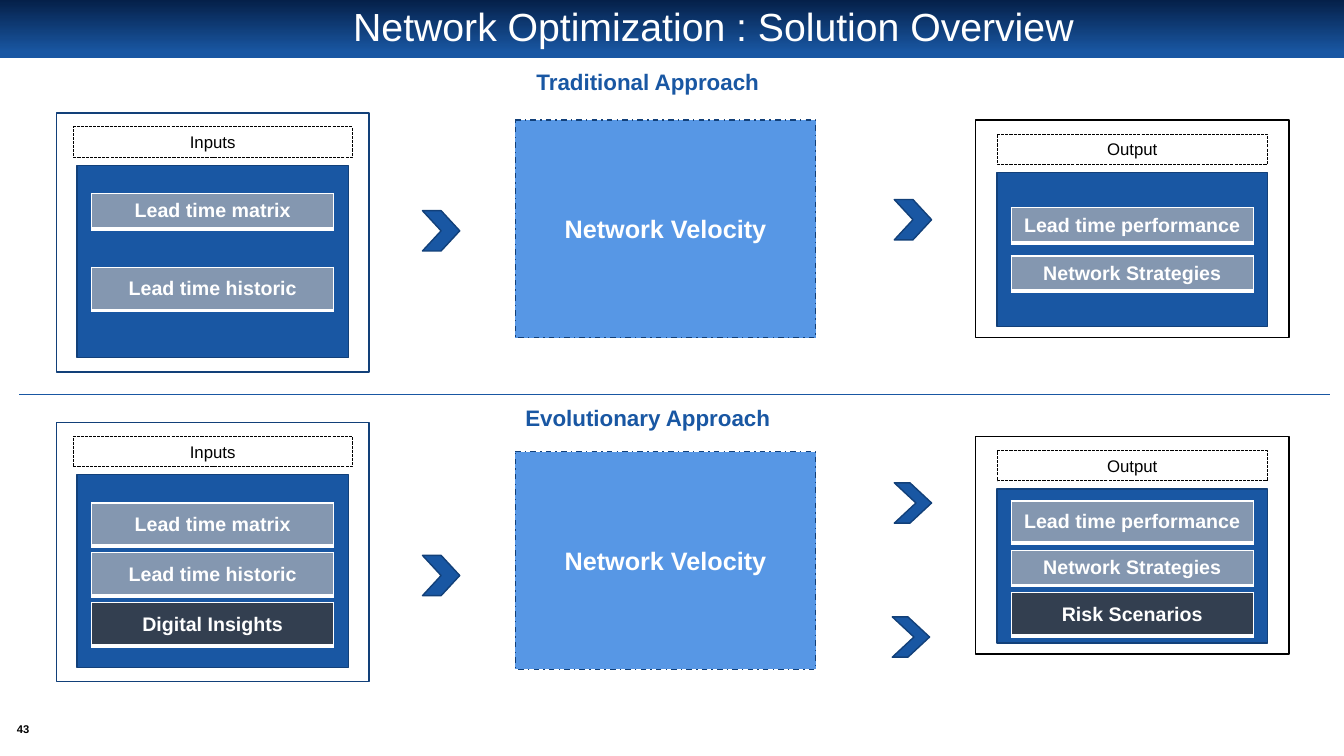
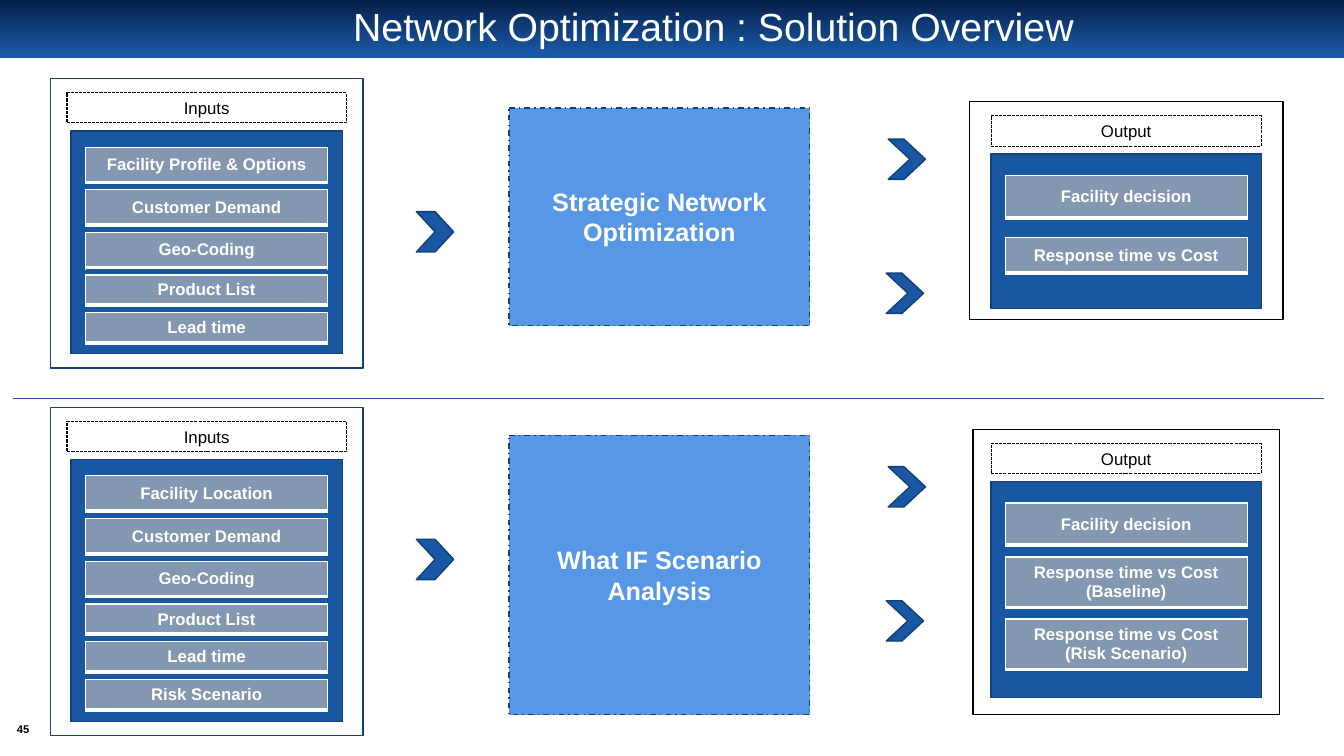
import lxml.etree
import pptx
import pptx.dml.color
import pptx.enum.dml
import pptx.enum.shapes
import pptx.enum.text
import pptx.oxml.ns
import pptx.util

Inches = pptx.util.Inches
Pt = pptx.util.Pt
RGB = pptx.dml.color.RGBColor
Dash = pptx.enum.dml.MSO_LINE
Form = pptx.enum.shapes.MSO_SHAPE
Anchor = pptx.enum.text.MSO_ANCHOR
qn = pptx.oxml.ns.qn

NAVY = RGB(0x05, 0x20, 0x49)
BLUE = RGB(0x19, 0x57, 0xA3)
EDGE = RGB(0x12, 0x40, 0x79)
SKY = RGB(0x57, 0x97, 0xE5)
SLATE = RGB(0x84, 0x97, 0xB0)
DARK = RGB(0x33, 0x3F, 0x50)
WHITE = RGB(0xFF, 0xFF, 0xFF)
BLACK = RGB(0, 0, 0)

FONT = "Arial"
TITLE = "Network Optimization : Solution Overview"
WIDTH = 13.33
BAR_W = 2.4
IN_MID, CORE_MID, OUT_MID = 2.11, 6.6, 11.23


def write(frame, text, size, color, bold=False, anchor=Anchor.MIDDLE):
    frame.word_wrap = True
    frame.vertical_anchor = anchor
    para = frame.paragraphs[0]
    para.alignment = pptx.enum.text.PP_ALIGN.CENTER
    run = para.add_run()
    run.text = text
    run.font.name = FONT
    run.font.size = Pt(size)
    run.font.bold = bold
    run.font.color.rgb = color


def label(slide, box, text, size, color):
    frame = slide.shapes.add_textbox(*map(Inches, box)).text_frame
    write(frame, text, size, color, True, Anchor.TOP)
    return frame


def block(slide, form, box, fill, line, weight=1, dash=None):
    shape = slide.shapes.add_shape(form, *map(Inches, box))
    shape.shadow.inherit = False
    if fill is None:
        shape.fill.background()
    else:
        shape.fill.solid()
        shape.fill.fore_color.rgb = fill
    shape.line.color.rgb = line
    shape.line.width = Pt(weight)
    if dash:
        shape.line.dash_style = dash
    return shape


def center(mid, top, width, height):
    """Box whose middle lies at mid."""
    return mid - width / 2, top, width, height


def border(cell, side, weight):
    props = cell._tc.get_or_add_tcPr()
    line = lxml.etree.SubElement(props, qn("a:" + side), w=str(Pt(weight)))
    fill = lxml.etree.SubElement(line, qn("a:solidFill"))
    lxml.etree.SubElement(fill, qn("a:srgbClr"), val=str(WHITE))


def bar(slide, box, text, size, fill):
    table = slide.shapes.add_table(1, 1, *map(Inches, box)).table
    table.first_row = table.horz_banding = False
    cell = table.cell(0, 0)
    for side, weight in (("lnL", 1), ("lnR", 1), ("lnT", 1), ("lnB", 3)):
        border(cell, side, weight)
    cell.fill.solid()
    cell.fill.fore_color.rgb = fill
    cell.vertical_anchor = Anchor.MIDDLE
    write(cell.text_frame, text, size, WHITE, True)


def stack(slide, mid, span, size, items):
    """Spread bars with equal gaps from the top to the end of span."""
    top, end = span
    used = sum(item[1] for item in items)
    gap = (end - top - used) / (len(items) - 1)
    for text, height, *fill in items:
        bar(slide, center(mid, top, BAR_W, height), text, size,
            fill[0] if fill else SLATE)
        top += height + gap


def panel(slide, name, mid, top, frame, line, body, wide):
    """Framed panel; frame and body are (width, height)."""
    block(slide, Form.RECTANGLE, center(mid, top, *frame), WHITE, line)
    block(slide, Form.RECTANGLE, center(mid, top + 0.52, *body), BLUE, EDGE)
    head = block(slide, Form.RECTANGLE, center(mid, top + 0.14, wide, 0.3),
                 None, BLACK, 0.75, Dash.SQUARE_DOT)
    write(head.text_frame, name, 12, BLACK, anchor=Anchor.TOP)


def inputs(slide, dx, top, height, span, size, items):
    mid = IN_MID + dx
    panel(slide, "Inputs", mid, top, (3.1, height), EDGE,
          (2.69, height - 0.66), 2.77)
    stack(slide, mid, span, size, items)


def output(slide, dx, top, frame, body, span, size, items):
    mid = OUT_MID + dx
    panel(slide, "Output", mid, top, frame, BLACK, (2.68, body), 2.68)
    stack(slide, mid, span, size, items)


def core(slide, dx, top, height, text):
    box = center(CORE_MID + dx, top, 2.98, height)
    shape = block(slide, Form.FLOWCHART_PROCESS, box, SKY, EDGE,
                  dash=Dash.DASH_DOT)
    write(shape.text_frame, text, 18, WHITE, True)


def arrow(slide, left, top, depth=0.5):
    shape = block(slide, Form.CHEVRON, (left, top, 0.37, 0.4), BLUE, EDGE)
    shape.adjustments[0] = depth


def fork(slide, dx, top):
    """One arrow into the core and two out of it."""
    arrow(slide, 4.19 + dx, top + 0.72)
    arrow(slide, 8.87 + dx, top, 0.58)
    arrow(slide, 8.85 + dx, top + 1.33, 0.58)


def divide(slide, dx, top):
    rule = slide.shapes.add_connector(
        pptx.enum.shapes.MSO_CONNECTOR.STRAIGHT,
        *map(Inches, (0.19 + dx, top, 13.19 + dx, top)))
    rule.line.color.rgb = BLUE
    rule.line.width = Pt(0.5)
    lxml.etree.SubElement(rule.element.spPr, qn("a:effectLst"))


def dress(layout, slide):
    """Put the shared band and title place on the layout."""
    band = block(slide, Form.RECTANGLE, (0, 0, WIDTH, 0.58), BLUE, BLUE)
    band.line.fill.background()
    band.fill.gradient()
    band.fill.gradient_angle = 270
    for stop, color, place in zip(band.fill.gradient_stops,
                                  (NAVY, BLUE), (0, 0.9)):
        stop.color.rgb = color
        stop.position = place
    layout.shapes.element.insert(2, band.element)
    title = layout.placeholders[0]
    title.left, title.top = Inches(1.88), Inches(0.09)
    title.width, title.height = Inches(10.39), Inches(0.39)


def page(deck, layout, number):
    slide = deck.slides.add_slide(layout)
    frame = slide.shapes.title.text_frame
    write(frame, TITLE, 28, WHITE)
    frame.auto_size = pptx.enum.text.MSO_AUTO_SIZE.NONE
    frame.paragraphs[0].line_spacing = 0.9
    mark = label(slide, (0.08, 7.14, 0.3, 0.19), number, 8, BLACK)
    mark.vertical_anchor = Anchor.MIDDLE
    mark.margin_left = mark.margin_right = 0
    mark.margin_top = mark.margin_bottom = 0
    return slide


def velocity(slide):
    for text, top in (("Traditional Approach", 0.63),
                      ("Evolutionary Approach", 3.96)):
        label(slide, (4.77, top, 3.31, 0.37), text, 16, BLUE)
    for top in (1.19, 4.48):
        core(slide, 0, top, 2.16, "Network Velocity")
    divide(slide, 0, 3.91)

    inputs(slide, 0, 1.12, 2.57, (1.92, 3.08), 14,
           [("Lead time matrix", 0.35), ("Lead time historic", 0.43)])
    output(slide, 0, 1.19, (3.11, 2.16), 1.53, (2.06, 2.89), 14,
           [("Lead time performance", 0.35), ("Network Strategies", 0.35)])
    arrow(slide, 4.19, 2.09)
    arrow(slide, 8.87, 1.98)

    inputs(slide, 0, 4.19, 2.57, (4.99, 6.41), 14,
           [("Lead time matrix", 0.43), ("Lead time historic", 0.43),
            ("Digital Insights", 0.43, DARK)])
    output(slide, 0, 4.33, (3.11, 2.16), 1.53, (4.97, 6.31), 14,
           [("Lead time performance", 0.42), ("Network Strategies", 0.35),
            ("Risk Scenarios", 0.43, DARK)])
    fork(slide, 0, 4.79)


def strategy(slide):
    dx = -0.06
    shared = [("Customer Demand", 0.35), ("Geo-Coding", 0.35),
              ("Product List", 0.3), ("Lead time", 0.3)]
    choice = ("Facility decision", 0.42)
    divide(slide, dx, 3.95)

    inputs(slide, dx, 0.78, 2.87, (1.46, 3.4), 12,
           [("Facility Profile & Options", 0.35)] + shared)
    core(slide, dx, 1.07, 2.16, "Strategic Network Optimization")
    output(slide, dx, 1.01, (3.11, 2.16), 1.53, (1.74, 2.71), 12,
           [choice, ("Response time vs Cost", 0.35)])
    fork(slide, dx, 1.38)

    inputs(slide, dx, 4.04, 3.26, (4.72, 7.04), 12,
           [("Facility Location", 0.35)] + shared + [("Risk Scenario", 0.3)])
    core(slide, dx, 4.32, 2.77, "What IF Scenario Analysis")
    output(slide, dx, 4.26, (3.04, 2.83), 2.14, (4.99, 6.64), 12,
           [choice, ("Response time vs Cost (Baseline)", 0.5),
            ("Response time vs Cost (Risk Scenario)", 0.5)])
    fork(slide, dx, 4.63)


def main():
    deck = pptx.Presentation()
    deck.slide_width, deck.slide_height = Inches(WIDTH), Inches(7.5)
    layout = deck.slide_layouts[5]
    first = page(deck, layout, "43")
    dress(layout, first)
    velocity(first)
    strategy(page(deck, layout, "45"))
    deck.save("out.pptx")


if __name__ == "__main__":
    main()
